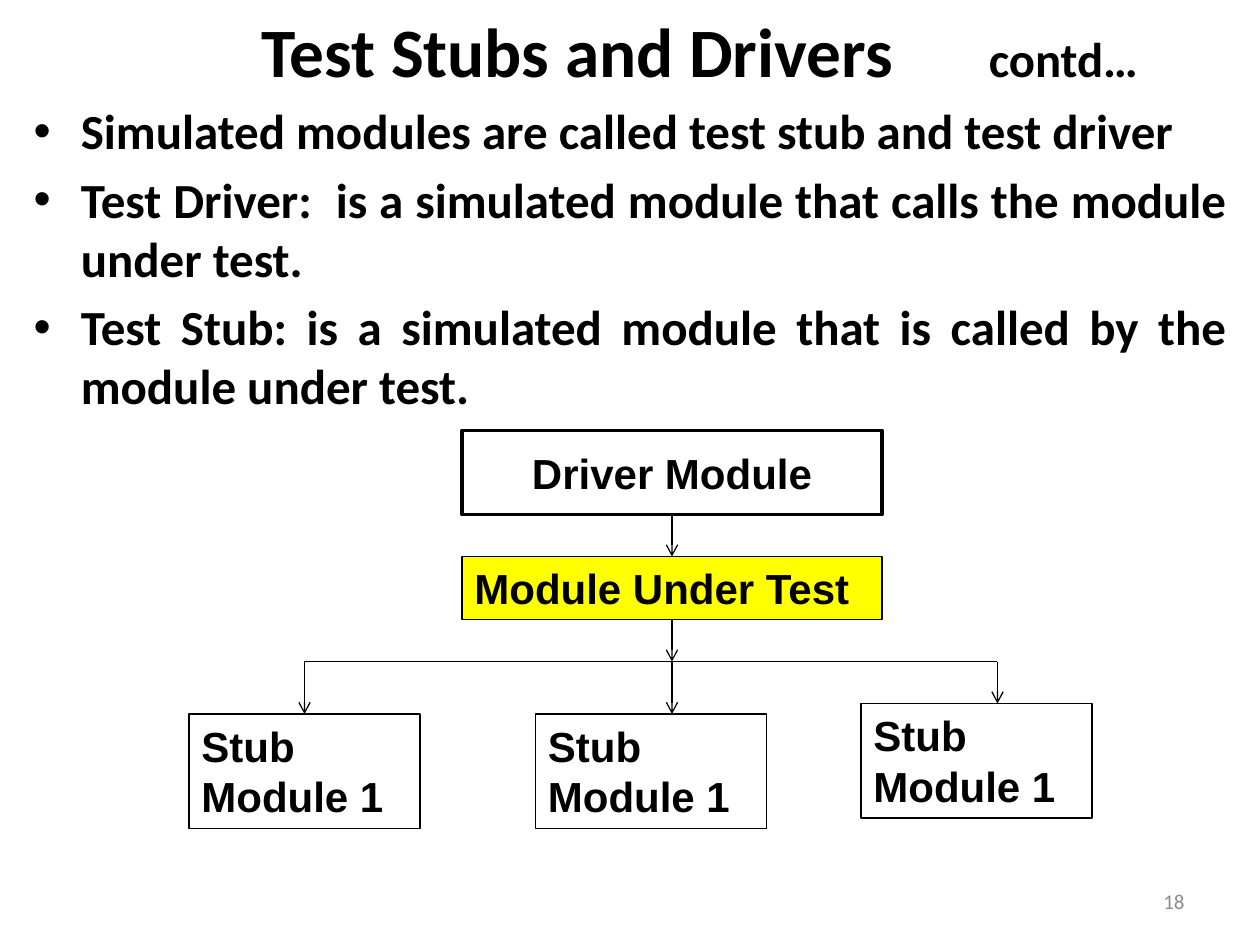
from pptx import Presentation
from pptx.dml.color import RGBColor
from pptx.enum.shapes import MSO_CONNECTOR, MSO_SHAPE
from pptx.enum.text import MSO_ANCHOR, MSO_AUTO_SIZE, PP_ALIGN
from pptx.oxml.ns import qn
from pptx.util import Pt
from lxml import etree

RECTANGLE = MSO_SHAPE.RECTANGLE
STRAIGHT = MSO_CONNECTOR.STRAIGHT
TOP, MIDDLE = MSO_ANCHOR.TOP, MSO_ANCHOR.MIDDLE
LEFT, CENTER, RIGHT, JUSTIFY = (
    PP_ALIGN.LEFT, PP_ALIGN.CENTER, PP_ALIGN.RIGHT, PP_ALIGN.JUSTIFY)
NO_AUTOFIT = MSO_AUTO_SIZE.NONE
TOP_SIDE, BOTTOM_SIDE = 0, 2

BLACK, WHITE, YELLOW, GRAY = "000000", "FFFFFF", "FFFF00", "8C8C8C"

POINTS = [
    "Simulated modules are called test stub and test driver",
    "Test Driver:  is a simulated module that calls the module under test.",
    "Test Stub: is a simulated module that is called by the module under test.",
]
CENTER_X, BUS_Y = 384, 378
# left, top, x of the arrow that reaches the stub
STUBS = [(108, 408, 174), (306, 408, CENTER_X), (492, 402, 570)]


def color(hex_code):
    return RGBColor.from_string(hex_code)


def place(shape, left, top, width, height):
    shape.left, shape.top = Pt(left), Pt(top)
    shape.width, shape.height = Pt(width), Pt(height)


def add_run(paragraph, text, size, font="Calibri", bold=True, ink=BLACK):
    run = paragraph.add_run()
    run.text = text
    run.font.name = font
    run.font.size = Pt(size)
    run.font.bold = bold
    run.font.color.rgb = color(ink)


def add_title(slide):
    """The tab stop sets the smaller "contd…" apart from the heading."""
    title = slide.shapes.title
    place(title, 36, 6, 648, 45)
    frame = title.text_frame
    frame.auto_size = NO_AUTOFIT
    frame.vertical_anchor = MIDDLE
    frame.margin_left = Pt(113.5)
    heading = frame.paragraphs[0]
    heading.alignment = LEFT
    tabs = etree.SubElement(heading._p.get_or_add_pPr(), qn("a:tabLst"))
    etree.SubElement(tabs, qn("a:tab"), pos=str(Pt(415.5)), algn="l")
    add_run(heading, "Test Stubs and Drivers", 39.6)
    add_run(heading, "\tcontd…", 27.9)


def add_points(slide):
    body = slide.placeholders[1]
    place(body, 12, 54, 696, 462)
    frame = body.text_frame
    frame.auto_size = NO_AUTOFIT
    for index, point in enumerate(POINTS):
        paragraph = frame.add_paragraph() if index else frame.paragraphs[0]
        paragraph.alignment = JUSTIFY
        paragraph.space_before = Pt(5.6 if index else 0)
        add_run(paragraph, point, 28)


def add_page_number(slide):
    page = slide.shapes.add_textbox(Pt(516), Pt(500.5), Pt(168), Pt(28.75))
    frame = page.text_frame
    frame.word_wrap = True
    frame.vertical_anchor = MIDDLE
    frame.paragraphs[0].alignment = RIGHT
    add_run(frame.paragraphs[0], "18", 12, bold=False, ink=GRAY)


def add_module(slide, label, left, top, width, height, fill=None,
               border=0.75, alignment=LEFT, anchor=TOP):
    module = slide.shapes.add_shape(
        RECTANGLE, Pt(left), Pt(top), Pt(width), Pt(height))
    module.shadow.inherit = False
    if fill:
        module.fill.solid()
        module.fill.fore_color.rgb = color(fill)
    else:
        module.fill.background()
    module.line.color.rgb = color(BLACK)
    module.line.width = Pt(border)
    frame = module.text_frame
    frame.word_wrap = True
    frame.vertical_anchor = anchor
    frame.paragraphs[0].alignment = alignment
    add_run(frame.paragraphs[0], label, 24, font="Arial")
    return module


def add_link(slide, x1, y1, x2, y2, arrow=True):
    link = slide.shapes.add_connector(STRAIGHT, Pt(x1), Pt(y1), Pt(x2), Pt(y2))
    link.line.color.rgb = color(BLACK)
    link.line.width = Pt(0.75)
    properties = link.element.spPr
    if arrow:
        etree.SubElement(properties.find(qn("a:ln")), qn("a:tailEnd"), type="arrow")
    etree.SubElement(properties, qn("a:effectLst"))
    return link


def add_call_tree(slide):
    driver = add_module(slide, "Driver Module", 264, 246, 240, 48, WHITE,
                        border=2, alignment=CENTER, anchor=MIDDLE)
    tested = add_module(slide, "Module Under Test", 264, 318, 240, 36, YELLOW)
    call = add_link(slide, CENTER_X, 294, CENTER_X, 318)
    call.begin_connect(driver, BOTTOM_SIDE)
    call.end_connect(tested, TOP_SIDE)

    trunk = add_link(slide, CENTER_X, 354, CENTER_X, BUS_Y)
    trunk.begin_connect(tested, BOTTOM_SIDE)
    add_link(slide, STUBS[0][2], BUS_Y, STUBS[-1][2], BUS_Y, arrow=False)

    stub_width, stub_height = 132, 65.5
    for left, top, arrow_x in STUBS:
        stub = add_module(slide, "Stub Module 1", left, top, stub_width, stub_height)
        branch = add_link(slide, arrow_x, BUS_Y, arrow_x, top)
        if arrow_x == left + stub_width / 2:
            branch.end_connect(stub, TOP_SIDE)


def main():
    deck = Presentation()
    deck.slide_width, deck.slide_height = Pt(720), Pt(540)
    slide = deck.slides.add_slide(deck.slide_layouts[1])
    add_title(slide)
    add_points(slide)
    add_page_number(slide)
    add_call_tree(slide)
    deck.save("out.pptx")


if __name__ == "__main__":
    main()
